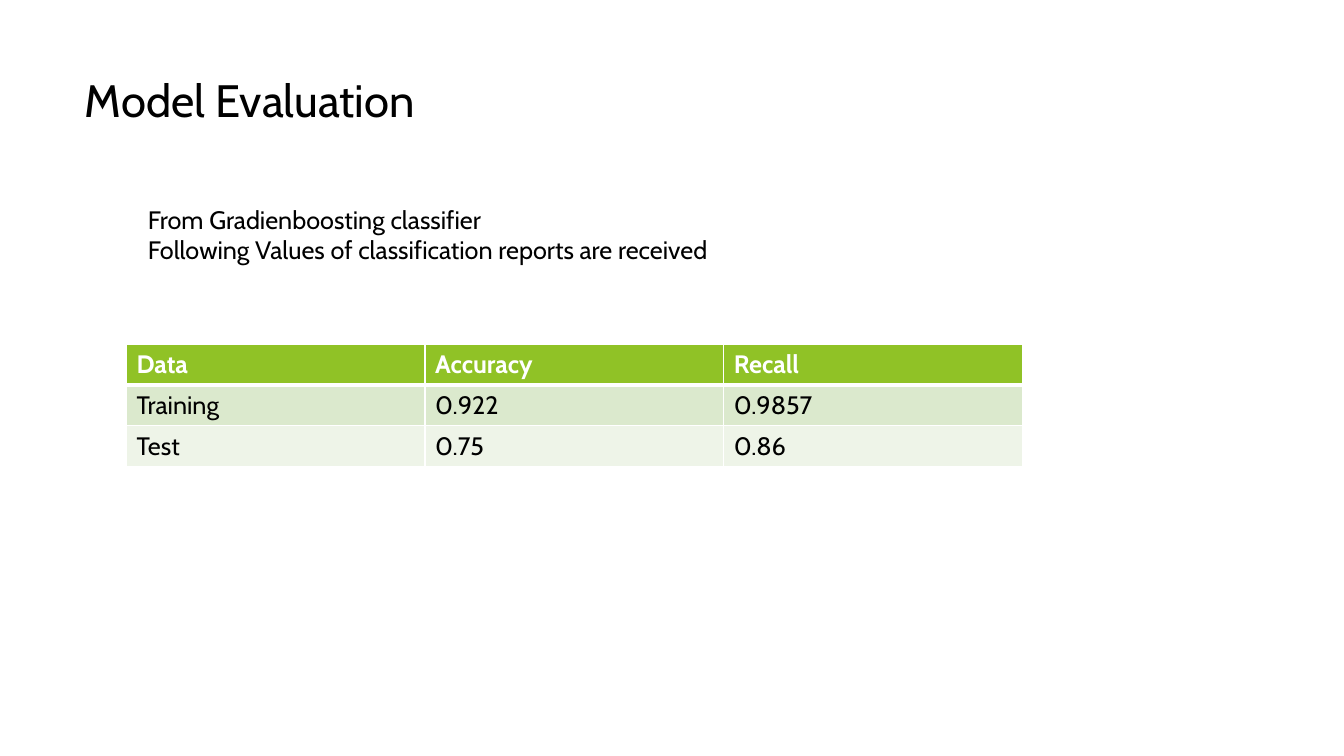
from dataclasses import dataclass

from lxml.etree import SubElement
from pptx import Presentation
from pptx.dml.color import RGBColor
from pptx.enum.text import MSO_ANCHOR, MSO_AUTO_SIZE, PP_ALIGN
from pptx.oxml.ns import qn
from pptx.util import Pt


@dataclass(frozen=True)
class Theme:
    font: str = "Cabin"
    title_size: float = 32.4
    body_size: float = 18
    ink: str = "000000"
    white: str = "FFFFFF"
    header: str = "90C226"
    bands: tuple = ("DBE9CD", "EEF4E8")


class SlideBuilder:
    def __init__(self, presentation, theme):
        self.theme = theme
        self.slide = presentation.slides.add_slide(presentation.slide_layouts[5])

    def format_text(self, frame, size, color, bold=False):
        for paragraph in frame.paragraphs:
            paragraph.alignment = PP_ALIGN.LEFT
            for run in paragraph.runs:
                run.font.name = self.theme.font
                run.font.size = Pt(size)
                run.font.bold = bold
                run.font.color.rgb = RGBColor.from_string(color)

    def title(self, wording, left, top, width, height):
        heading = self.slide.shapes.title
        heading.left, heading.top = Pt(left), Pt(top)
        heading.width, heading.height = Pt(width), Pt(height)
        frame = heading.text_frame
        frame.text = wording
        frame.word_wrap = True
        frame.auto_size = MSO_AUTO_SIZE.NONE
        frame.vertical_anchor = MSO_ANCHOR.TOP
        self.format_text(frame, self.theme.title_size, self.theme.ink)

    def text(self, wording, left, top, width, height):
        box = self.slide.shapes.add_textbox(Pt(left), Pt(top), Pt(width), Pt(height))
        frame = box.text_frame
        frame.word_wrap = True
        frame.text = wording
        self.format_text(frame, self.theme.body_size, self.theme.ink)

    def cell_borders(self, cell, widths):
        """Draw the left, right, top and bottom borders, with widths in points."""
        properties = cell._tc.get_or_add_tcPr()
        for side, width in zip("LRTB", widths):
            line = SubElement(properties, qn(f"a:ln{side}"), w=str(Pt(width)))
            fill = SubElement(line, qn("a:solidFill"))
            SubElement(fill, qn("a:srgbClr"), val=self.theme.white)

    def table(self, rows, left, top, width, height):
        theme = self.theme
        grid = self.slide.shapes.add_table(
            len(rows), len(rows[0]), Pt(left), Pt(top), Pt(width), Pt(height)
        ).table
        grid.horz_banding = False
        for row_index, row in enumerate(rows):
            is_header = row_index == 0
            fill = theme.header if is_header else theme.bands[(row_index - 1) % 2]
            ink = theme.white if is_header else theme.ink
            rule_above = 3 if row_index == 1 else 1
            rule_below = 3 if is_header else 1
            for column_index, value in enumerate(row):
                cell = grid.cell(row_index, column_index)
                cell.text_frame.text = value
                self.format_text(cell.text_frame, theme.body_size, ink, is_header)
                self.cell_borders(cell, (1, 1, rule_above, rule_below))
                cell.fill.solid()
                cell.fill.fore_color.rgb = RGBColor.from_string(fill)


def main():
    presentation = Presentation()
    presentation.slide_width, presentation.slide_height = Pt(960), Pt(540)
    evaluation = SlideBuilder(presentation, Theme())
    evaluation.title("Model Evaluation", 53.5, 48, 677, 62.5)
    evaluation.text(
        "From Gradienboosting classifier\n"
        "Following Values of classification reports are received",
        98.5, 142.5, 597, 72.7,
    )
    scores = [
        ("Data", "Accuracy", "Recall"),
        ("Training", "0.922", "0.9857"),
        ("Test", "0.75", "0.86"),
    ]
    evaluation.table(scores, 90.3, 245.8, 640, 87.6)
    presentation.save("out.pptx")


if __name__ == "__main__":
    main()
